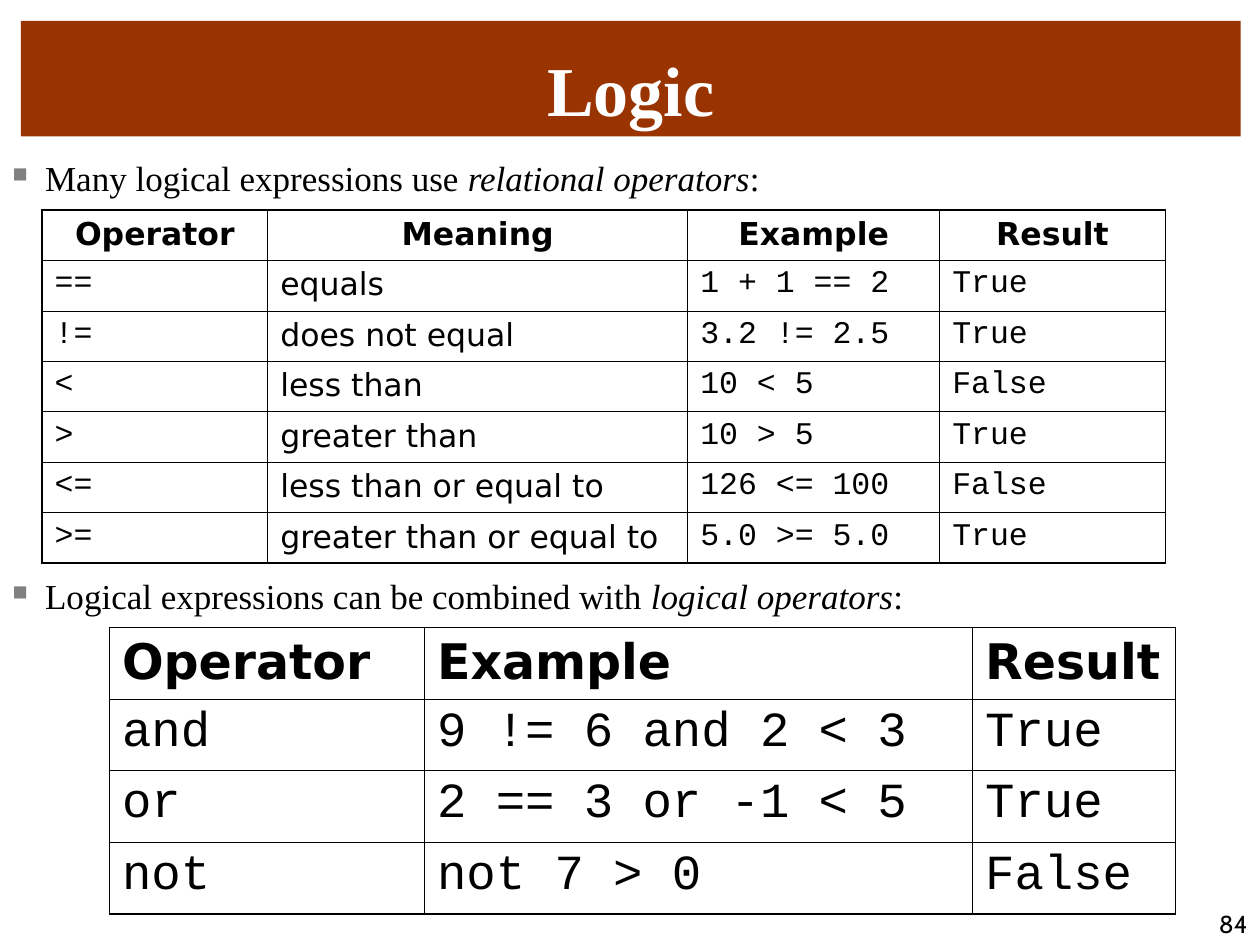
from dataclasses import dataclass

from lxml.etree import SubElement
from pptx import Presentation
from pptx.dml.color import RGBColor
from pptx.enum.shapes import MSO_SHAPE
from pptx.enum.text import MSO_ANCHOR, PP_ALIGN
from pptx.oxml.ns import qn
from pptx.util import Pt

RUST = RGBColor(0x99, 0x33, 0x00)
WHITE = RGBColor(0xFF, 0xFF, 0xFF)
BLACK = RGBColor(0, 0, 0)
GRAY = RGBColor(0x80, 0x80, 0x80)
SERIF, SANS, MONO = "Times New Roman", "DejaVu Sans", "Courier New"
THIN, THICK = 0.45, 1.08


@dataclass(frozen=True)
class Grid:
    left: float
    top: float
    widths: tuple[float, ...]
    row_height: float
    size: float
    header_align: PP_ALIGN
    fonts: tuple[str, ...]
    rows: tuple[tuple[str, ...], ...]


@dataclass(frozen=True)
class Bullet:
    lead: str
    term: str
    space_before: float


LOGICAL = Grid(
    62.6, 358.6, (180, 313.2, 115.9), 40.9, 28, PP_ALIGN.LEFT, (MONO, MONO, MONO),
    (
        ("Operator", "Example", "Result"),
        ("and", "9 != 6 and 2 < 3", "True"),
        ("or", "2 == 3 or -1 < 5", "True"),
        ("not", "not 7 > 0", "False"),
    ),
)
RELATIONAL = Grid(
    24, 120, (129, 240, 144, 129), 28.8, 18, PP_ALIGN.CENTER, (MONO, SANS, MONO, MONO),
    (
        ("Operator", "Meaning", "Example", "Result"),
        ("==", "equals", "1 + 1 == 2", "True"),
        ("!=", "does not equal", "3.2 != 2.5", "True"),
        ("<", "less than", "10 < 5", "False"),
        (">", "greater than", "10 > 5", "True"),
        ("<=", "less than or equal to", "126 <= 100", "False"),
        (">=", "greater than or equal to", "5.0 >= 5.0", "True"),
    ),
)
BULLETS = (
    Bullet("Many logical expressions use ", "relational operators", 0),
    Bullet("Logical expressions can be combined with ", "logical operators", 214.7),
)


def add_span(para, text: str, *, font: str, size: float, color: RGBColor = BLACK,
             bold: bool = False, italic: bool = False) -> None:
    span = para.add_run()
    span.text = text
    span.font.name = font
    span.font.size = Pt(size)
    span.font.color.rgb = color
    span.font.bold = bold
    span.font.italic = italic


def set_border(cell, side: str, width: float) -> None:
    line = SubElement(cell._tc.get_or_add_tcPr(), qn(f"a:ln{side}"), w=str(Pt(width)))
    fill = SubElement(line, qn("a:solidFill"))
    SubElement(fill, qn("a:srgbClr"), val=str(BLACK))


def set_bullet(para) -> None:
    properties = para._p.get_or_add_pPr()
    properties.set("marL", str(Pt(18.7)))
    properties.set("indent", str(Pt(-18.7)))
    color = SubElement(properties, qn("a:buClr"))
    SubElement(color, qn("a:srgbClr"), val=str(GRAY))
    SubElement(properties, qn("a:buSzPct"), val="60000")
    SubElement(properties, qn("a:buChar"), char="■")


def draw_title(page) -> None:
    box = page.shapes.add_shape(MSO_SHAPE.RECTANGLE, Pt(12), Pt(12), Pt(697), Pt(66))
    box.shadow.inherit = False
    box.fill.solid()
    box.fill.fore_color.rgb = RUST
    box.line.fill.background()
    box.text_frame.vertical_anchor = MSO_ANCHOR.BOTTOM
    para = box.text_frame.paragraphs[0]
    para.alignment = PP_ALIGN.CENTER
    add_span(para, "Logic", font=SERIF, size=40, color=WHITE, bold=True)


def draw_number(page) -> None:
    box = page.shapes.add_textbox(Pt(612), Pt(504), Pt(108), Pt(36))
    box.text_frame.word_wrap = True
    box.text_frame.vertical_anchor = MSO_ANCHOR.BOTTOM
    para = box.text_frame.paragraphs[0]
    para.alignment = PP_ALIGN.RIGHT
    add_span(para, "84", font="Cabin", size=14)


def draw_bullets(page, bullets: tuple[Bullet, ...]) -> None:
    box = page.shapes.add_textbox(Pt(0), Pt(86), Pt(720), Pt(436))
    frame = box.text_frame
    frame.word_wrap = True
    for index, bullet in enumerate(bullets):
        para = frame.add_paragraph() if index else frame.paragraphs[0]
        set_bullet(para)
        if bullet.space_before:
            para.space_before = Pt(bullet.space_before)
        add_span(para, bullet.lead, font=SERIF, size=20)
        add_span(para, bullet.term, font=SERIF, size=20, italic=True)
        add_span(para, ":", font=SERIF, size=20)


def draw_grid(page, grid: Grid) -> None:
    last_row, last_column = len(grid.rows) - 1, len(grid.widths) - 1
    table = page.shapes.add_table(
        len(grid.rows), len(grid.widths), Pt(grid.left), Pt(grid.top),
        Pt(sum(grid.widths)), Pt(grid.row_height * len(grid.rows)),
    ).table
    table.first_row = False
    table.horz_banding = False
    for column, width in zip(table.columns, grid.widths):
        column.width = Pt(width)
    for row_index, texts in enumerate(grid.rows):
        table.rows[row_index].height = Pt(grid.row_height)
        header = row_index == 0
        for column_index, text in enumerate(texts):
            cell = table.cell(row_index, column_index)
            outer_sides = {
                "L": column_index == 0,
                "R": column_index == last_column,
                "T": header,
                "B": row_index == last_row,
            }
            for side, outer in outer_sides.items():
                set_border(cell, side, THICK if outer else THIN)
            cell.fill.background()
            para = cell.text_frame.paragraphs[0]
            para.alignment = grid.header_align if header else PP_ALIGN.LEFT
            font = SANS if header else grid.fonts[column_index]
            add_span(para, text, font=font, size=grid.size, bold=header)


def main() -> None:
    deck = Presentation()
    deck.slide_width, deck.slide_height = Pt(720), Pt(540)
    page = deck.slides.add_slide(deck.slide_layouts[6])
    draw_number(page)
    draw_title(page)
    draw_bullets(page, BULLETS)
    for grid in (LOGICAL, RELATIONAL):
        draw_grid(page, grid)
    deck.save("out.pptx")


if __name__ == "__main__":
    main()
